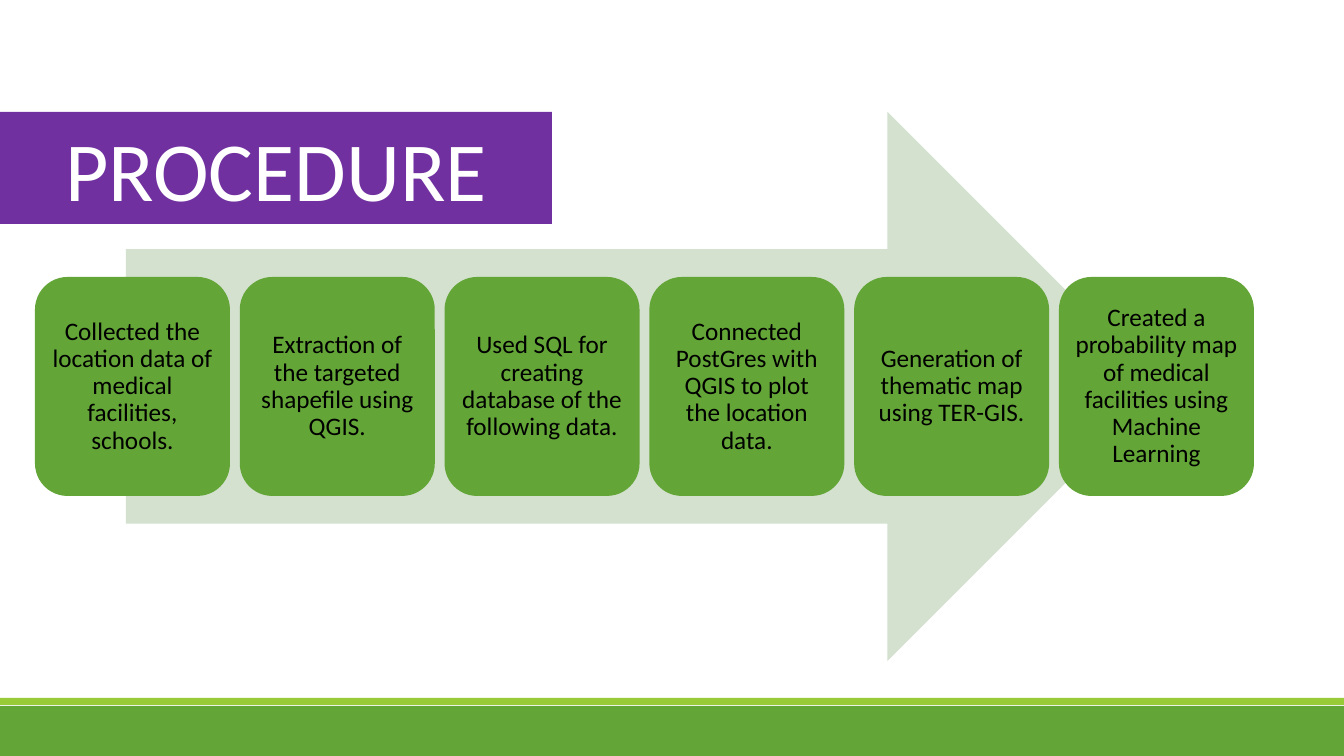
from pptx import Presentation
from pptx import util as u
from pptx.dml.color import RGBColor
from pptx.enum import shapes, text

EMU_PER_PX = 914400 / 100.8
GREEN, LIME, PALE, PURPLE = "63A537", "99CB38", "D3E1CE", "7030A0"
WHITE, BLACK = "FFFFFF", "000000"

STEPS = [
    "Collected the location data of medical facilities, schools.",
    "Extraction of the targeted shapefile using QGIS.",
    "Used SQL for creating database of the following data.",
    "Connected PostGres with QGIS to plot the location data.",
    "Generation of thematic map using TER-GIS.",
    "Created a probability map of medical facilities using Machine Learning",
]
CARD_LEFT, CARD_TOP, CARD_WIDTH, CARD_HEIGHT = 35, 277, 195, 219
LAST_CARD_LEFT = 1059


def px(length):
    return u.Emu(round(length * EMU_PER_PX))


def paint(target, color):
    target.fill.solid()
    target.fill.fore_color.rgb = RGBColor.from_string(color)


def add_block(slide, preset, left, top, width, height, color):
    block = slide.shapes.add_shape(
        preset, px(left), px(top), px(width), px(height))
    block.shadow.inherit = False
    block.line.fill.background()
    paint(block, color)
    return block


def write(holder, words, size, color, spacing, margin_x, margin_y, anchor):
    frame = holder.text_frame
    frame.text = words
    frame_format = {
        "word_wrap": True,
        "auto_size": text.MSO_AUTO_SIZE.NONE,
        "vertical_anchor": anchor,
        "margin_left": px(margin_x),
        "margin_right": px(margin_x),
        "margin_top": px(margin_y),
        "margin_bottom": px(margin_y),
    }
    for name, value in frame_format.items():
        setattr(frame, name, value)
    paragraph = frame.paragraphs[0]
    paragraph.alignment = text.PP_ALIGN.CENTER
    paragraph.line_spacing = spacing
    for name, value in {"name": "Calibri", "size": u.Pt(size)}.items():
        setattr(paragraph.font, name, value)
    paragraph.font.color.rgb = RGBColor.from_string(color)


def add_title(slide, words):
    title = slide.shapes.title
    bounds = {"left": 0, "top": 112, "width": 552, "height": 112}
    for name, value in bounds.items():
        setattr(title, name, px(value))
    paint(title, PURPLE)
    write(title, words, 60, WHITE, 1.0, 10, 5, text.MSO_ANCHOR.TOP)


def add_step(slide, left, words):
    card = add_block(slide, shapes.MSO_SHAPE.ROUNDED_RECTANGLE,
                     left, CARD_TOP, CARD_WIDTH, CARD_HEIGHT, GREEN)
    write(card, words, 18, BLACK, 0.9, 7, 7, text.MSO_ANCHOR.MIDDLE)


def main():
    deck = Presentation()
    deck.slide_width, deck.slide_height = px(1344), px(756)
    slide = deck.slides.add_slide(deck.slide_layouts[5])

    # Footer bands
    add_block(slide, shapes.MSO_SHAPE.RECTANGLE, 0, 706, 1344, 50, GREEN)
    add_block(slide, shapes.MSO_SHAPE.RECTANGLE, 0, 698, 1344, 7, LIME)

    add_title(slide, "PROCEDURE")

    # Process arrow with its evenly spaced steps
    add_block(slide, shapes.MSO_SHAPE.RIGHT_ARROW, 126, 112, 1036, 549, PALE)
    pitch = (LAST_CARD_LEFT - CARD_LEFT) / (len(STEPS) - 1)
    for index, words in enumerate(STEPS):
        add_step(slide, CARD_LEFT + index * pitch, words)

    deck.save("out.pptx")


if __name__ == "__main__":
    main()
